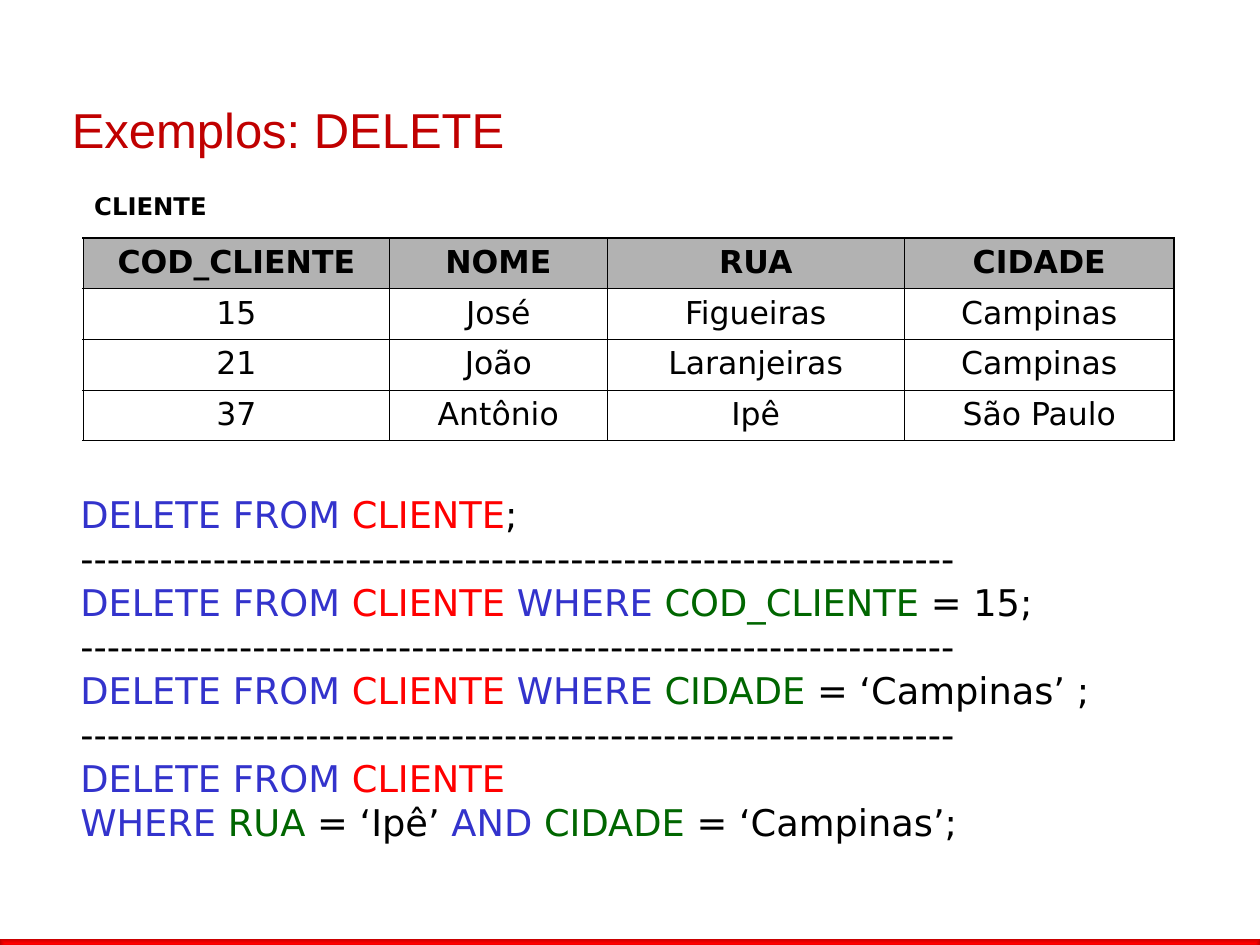
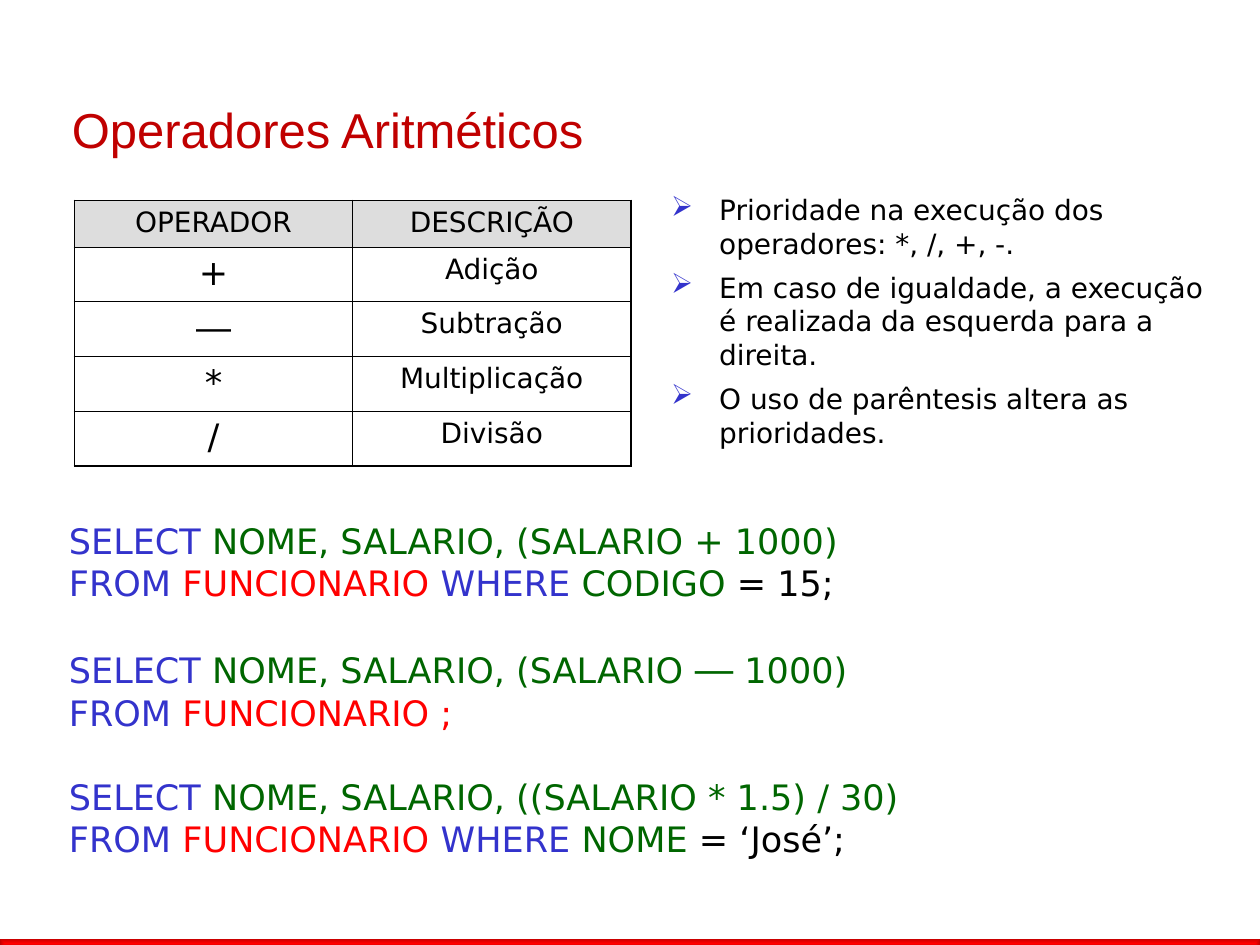
from lxml import etree
from pptx import Presentation
from pptx.dml.color import RGBColor
from pptx.enum import shapes, text
from pptx.oxml import ns
from pptx.util import Cm, Pt

BLACK = RGBColor(0, 0, 0)
RED = RGBColor(0xFF, 0, 0)
DARK = RGBColor(0xC0, 0, 0)
BLUE = RGBColor(0x33, 0x33, 0xCC)
GREEN = RGBColor(0, 0x66, 0)
GREY = RGBColor(0xB2, 0xB2, 0xB2)
PALE = RGBColor(0xDD, 0xDD, 0xDD)

SANS = "DejaVu Sans"
WIDE, HIGH = 25.4, 19.05
THICK, THIN = Pt(1.08), Pt(0.45)

RULE = [(BLACK, "-" * 66)]
DELETE = (BLUE, "DELETE FROM ")
WHERE = (BLUE, "WHERE ")
SELECT = (BLUE, "SELECT ")
FROM = (BLUE, "FROM ")
STAFF = (RED, "FUNCIONARIO ")

CLIENTS = [
    ("COD_CLIENTE", "NOME", "RUA", "CIDADE"),
    ("15", "José", "Figueiras", "Campinas"),
    ("21", "João", "Laranjeiras", "Campinas"),
    ("37", "Antônio", "Ipê", "São Paulo"),
]
DELETES = [
    [DELETE, (RED, "CLIENTE"), (BLACK, ";")],
    RULE,
    [DELETE, (RED, "CLIENTE "), WHERE, (GREEN, "COD_CLIENTE "), (BLACK, "= 15;")],
    RULE,
    [DELETE, (RED, "CLIENTE "), WHERE, (GREEN, "CIDADE "), (BLACK, "= ‘Campinas’ ;")],
    RULE,
    [DELETE, (RED, "CLIENTE")],
    [WHERE, (GREEN, "RUA "), (BLACK, "= ‘Ipê’ "), (BLUE, "AND "),
     (GREEN, "CIDADE "), (BLACK, "= ‘Campinas’;")],
]
SIGNS = [
    ("OPERADOR", "DESCRIÇÃO"),
    ("+", "Adição"),
    ("―", "Subtração"),
    ("*", "Multiplicação"),
    ("/", "Divisão"),
]
SELECTS = [
    [SELECT, (GREEN, "NOME, SALARIO, (SALARIO + 1000)")],
    [FROM, STAFF, WHERE, (GREEN, "CODIGO"), (BLACK, " = 15;")],
    [SELECT, (GREEN, "NOME, SALARIO, (SALARIO "), (GREEN, "―", 22), (GREEN, " 1000)")],
    [FROM, (RED, "FUNCIONARIO ;")],
    [SELECT, (GREEN, "NOME, SALARIO, ((SALARIO * 1.5) / 30)")],
    [FROM, STAFF, WHERE, (GREEN, "NOME "), (BLACK, "= ‘José’;")],
]
NOTES = [
    "Prioridade na execução dos operadores: *, /, +, -.",
    "Em caso de igualdade, a execução é realizada da esquerda para a direita.",
    "O uso de parêntesis altera as prioridades.",
]


def style(item, **values):
    for name, value in values.items():
        setattr(item, name, value)


def write(para, words, size, hue=BLACK, name=SANS, bold=False):
    """Add one run to a paragraph."""
    run = para.add_run()
    run.text = words
    style(run.font, size=Pt(size), name=name, bold=bold)
    run.font.color.rgb = hue


def frame(slide, box, anchor=text.MSO_ANCHOR.TOP):
    """Add a wrapping text box and return its text frame."""
    body = slide.shapes.add_textbox(*map(Cm, box)).text_frame
    style(body, word_wrap=True, vertical_anchor=anchor)
    return body


def paras(body, items):
    """Yield a paragraph of the text frame for each item."""
    for index, item in enumerate(items):
        yield (body.add_paragraph() if index else body.paragraphs[0]), item


def band(slide, box):
    bar = slide.shapes.add_shape(shapes.MSO_SHAPE.RECTANGLE, *map(Cm, box))
    bar.shadow.inherit = False
    bar.line.fill.background()
    bar.fill.gradient()
    for stop, hue in zip(bar.fill.gradient_stops, (RED, DARK)):
        stop.color.rgb = hue
    grad = bar._element.spPr.find(ns.qn("a:gradFill"))
    grad.remove(grad.find(ns.qn("a:lin")))
    track = etree.SubElement(grad, ns.qn("a:path"), path="rect")
    etree.SubElement(track, ns.qn("a:fillToRect"), dict.fromkeys("ltrb", "50000"))


def base(deck, title):
    """Add a slide with the shared band and title."""
    slide = deck.slides.add_slide(deck.slide_layouts[6])
    band(slide, (0, 18.92, WIDE, 0.2))
    body = frame(slide, (1.2, 1.6, 22.86, 2), text.MSO_ANCHOR.MIDDLE)
    write(body.paragraphs[0], title, 28, DARK, "Arial")
    return slide


def edge(cell, sides):
    """Draw the cell borders, given as side letter to width."""
    props = cell._tc.get_or_add_tcPr()
    for side, width in sides.items():
        line = etree.SubElement(props, ns.qn("a:ln" + side), w=str(int(width)))
        fill = etree.SubElement(line, ns.qn("a:solidFill"))
        etree.SubElement(fill, ns.qn("a:srgbClr"), val=str(BLACK))


def grid(slide, spot, data, cols, rows, head, look):
    """Add a table; look(row, col) gives the font size and weight of a cell."""
    size = sum(cols), sum(rows)
    table = slide.shapes.add_table(
        len(rows), len(cols), *map(Cm, spot + size)).table
    style(table, first_row=False, horz_banding=False)
    for col, width in zip(table.columns, cols):
        col.width = Cm(width)
    for row, height in zip(table.rows, rows):
        row.height = Cm(height)
    for r, line in enumerate(data):
        for c, words in enumerate(line):
            cell = table.cell(r, c)
            outer = {"L": c == 0, "R": c == len(cols) - 1,
                     "T": r == 0, "B": r == len(rows) - 1}
            edge(cell, {side: THICK if out else THIN for side, out in outer.items()})
            if r:
                cell.fill.background()
            else:
                cell.fill.solid()
                cell.fill.fore_color.rgb = head
            points, bold = look(r, c)
            para = cell.text_frame.paragraphs[0]
            style(para, alignment=text.PP_ALIGN.CENTER, space_before=Pt(points / 4))
            write(para, words, points, bold=bold)


def code(slide, box, lines, size, gap=0):
    """Write coloured statements, with a gap before each later SELECT."""
    for index, (para, line) in enumerate(paras(frame(slide, box), lines)):
        if gap and index and line[0] == SELECT:
            para.space_before = Pt(gap)
        for hue, words, *own in line:
            write(para, words, own[0] if own else size, hue)


def bullets(slide, box, items):
    for para, words in paras(frame(slide, box), items):
        para.space_after = Pt(6)
        write(para, words, 16)
        props = para._p.get_or_add_pPr()
        props.set("marL", str(Cm(0.97)))
        props.set("indent", str(-Cm(0.97)))
        tint = etree.SubElement(props, ns.qn("a:buClr"))
        etree.SubElement(tint, ns.qn("a:srgbClr"), val=str(BLUE))
        etree.SubElement(props, ns.qn("a:buChar"), char="➢")


def removal(deck):
    slide = base(deck, "Exemplos: DELETE")
    grid(slide, (1.68, 4.8), CLIENTS, (6.17, 4.39, 5.99, 5.44), (1.02,) * 4,
         GREY, lambda r, c: (18, r == 0))
    code(slide, (1.37, 9.78, 22.81, 8.43), DELETES, 21)
    label = frame(slide, (1.65, 3.84, 4.24, 0.89)).paragraphs[0]
    label.line_spacing = 0.8
    write(label, "CLIENTE", 13.9, bold=True)


def maths(deck):
    slide = base(deck, "Operadores Aritméticos")
    grid(slide, (1.5, 4.04), SIGNS, (5.61,) * 2, (0.94,) + (1.1,) * 4,
         PALE, lambda r, c: (20 if r and c == 0 else 16, False))
    code(slide, (1.14, 10.34, 23.62, 8), SELECTS, 20, gap=24)
    bullets(slide, (13.28, 3.76, 11.4, 5.41), NOTES)


def main():
    deck = Presentation()
    style(deck, slide_width=Cm(WIDE), slide_height=Cm(HIGH))
    removal(deck)
    maths(deck)
    deck.save("out.pptx")


if __name__ == "__main__":
    main()
